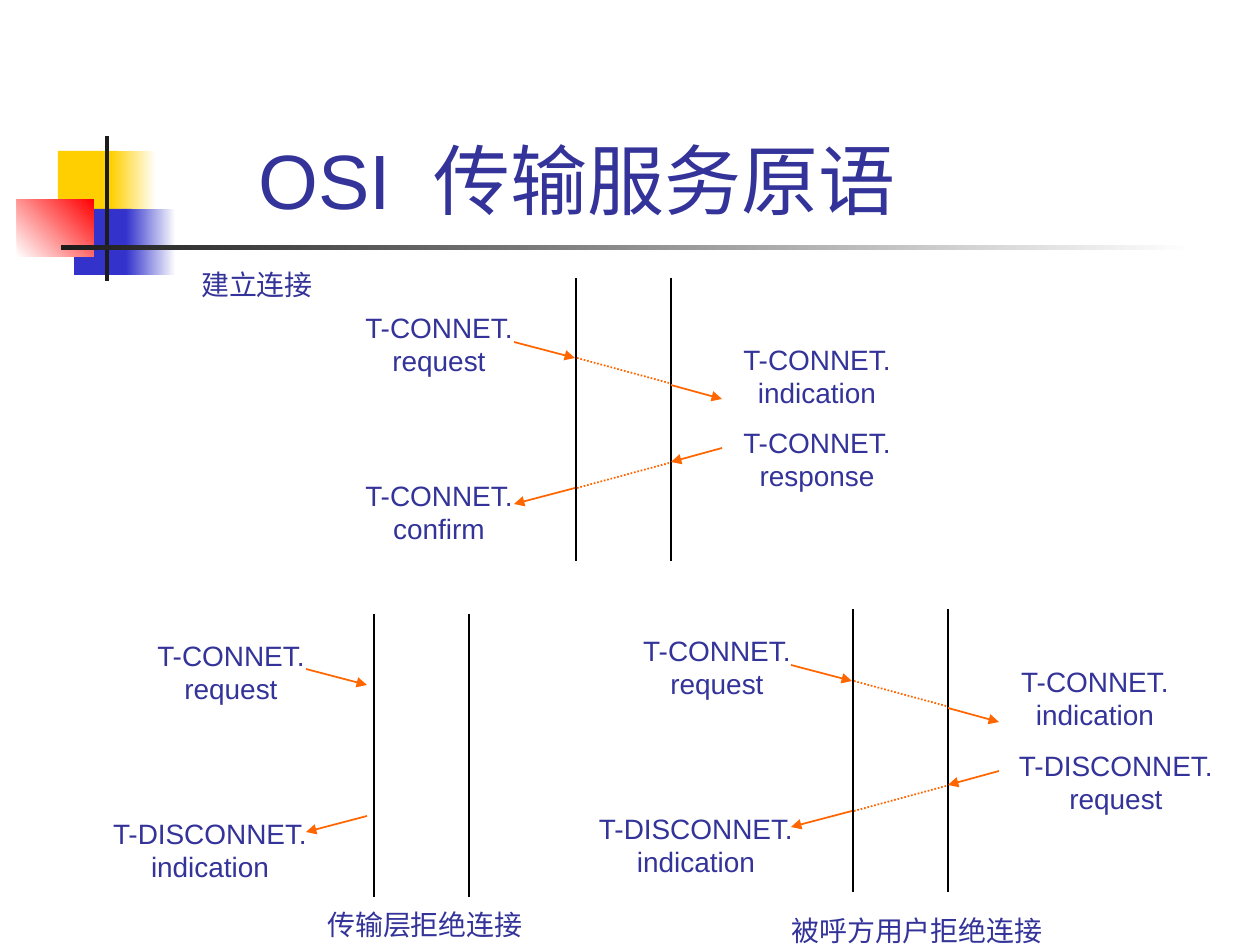
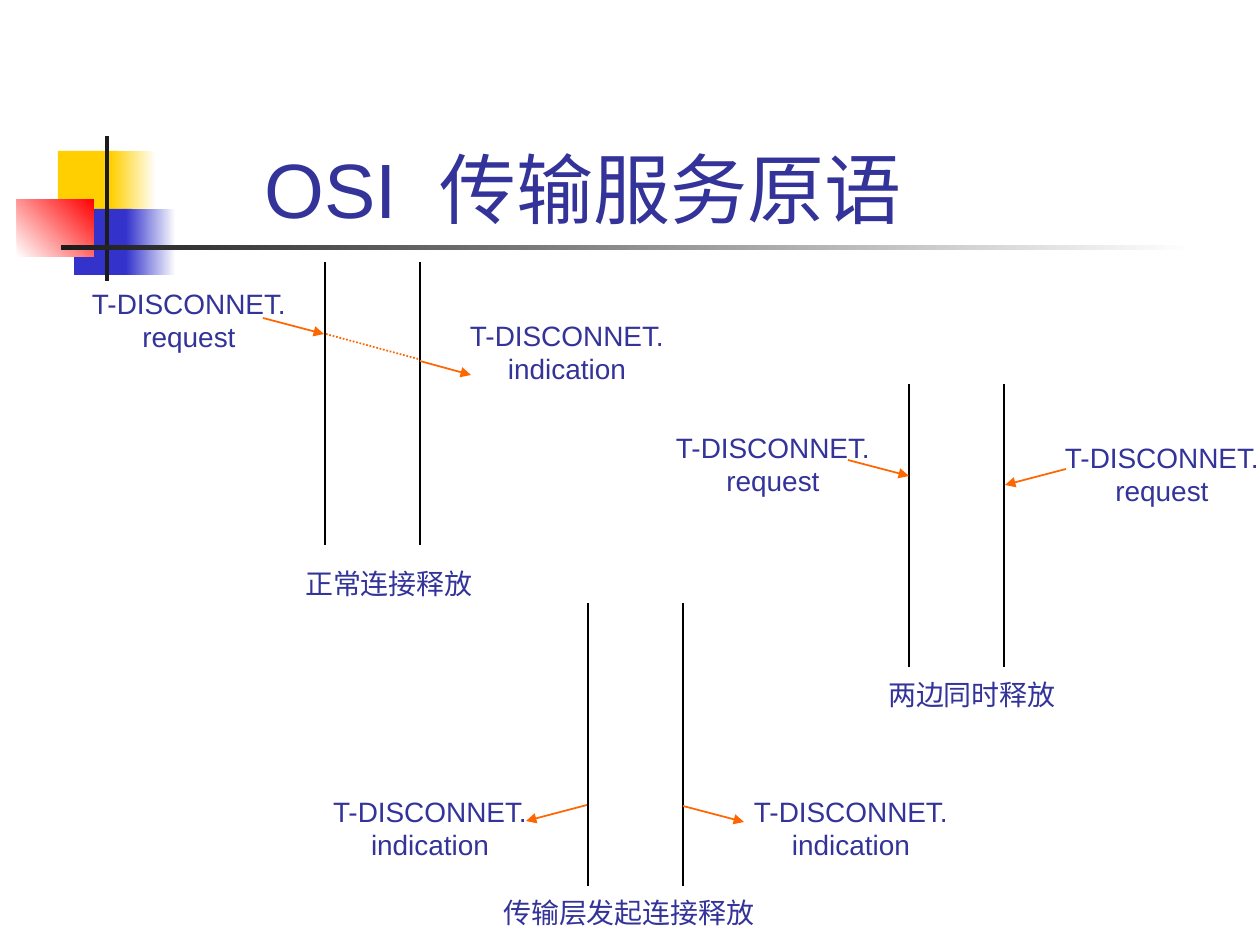
import lxml.etree
import pptx
import pptx.dml.color
import pptx.enum.dml
import pptx.enum.shapes
import pptx.enum.text
import pptx.oxml.ns
import pptx.util

EMU_PER_PX = 914400 / 126
NAVY, ORANGE, BLACK, WHITE = "333399", "FF6600", "000000", "FFFFFF"
YELLOW, BLUE, RED, CHARCOAL = "FFCF01", "3333CC", "FF0000", "1C1C1C"
POLE_GAP, POLE_HEIGHT = 95, 283
ARROW_DX, ARROW_DY = 61, 16
ALIGN = pptx.enum.text.PP_ALIGN
ANCHOR = pptx.enum.text.MSO_ANCHOR


def px(*lengths):
    return [pptx.util.Emu(round(n * EMU_PER_PX)) for n in lengths]


def rgb(value):
    return pptx.dml.color.RGBColor.from_string(value)


def apply(obj, values):
    for name, value in values.items():
        setattr(obj, name, value)


def format_text(tf, size, align, frame):
    apply(tf, {"auto_size": pptx.enum.text.MSO_AUTO_SIZE.NONE, **frame})
    for p in tf.paragraphs:
        p.alignment = align
        for r in p.runs:
            apply(r.font, {"name": "Arial", "size": pptx.util.Pt(size)})
            r.font.color.rgb = rgb(NAVY)


def add_band(s, box, colors, angle=0):
    """A rectangle with one solid colour, or a gradient between two."""
    sp = s.shapes.add_shape(pptx.enum.shapes.MSO_SHAPE.RECTANGLE, *px(*box))
    sp.shadow.inherit = False
    sp.line.fill.background()
    if len(colors) == 1:
        sp.fill.solid()
        sp.fill.fore_color.rgb = rgb(colors[0])
    else:
        sp.fill.gradient()
        sp.fill.gradient_angle = angle
        for stop, color in zip(sp.fill.gradient_stops, colors):
            stop.color.rgb = rgb(color)
    return sp


def decorate_master(prs, s):
    """Draw the bands on a slide, then move them to the master."""
    bands = [
        ((58, 151, 60, 66), [YELLOW]),
        ((111, 151, 45, 66), [YELLOW, WHITE]),
        ((74, 209, 58, 66), [BLUE]),
        ((126, 209, 50, 66), [BLUE, WHITE]),
        ((17, 199, 77, 58), [WHITE, RED], 45),
        ((105, 136, 4, 145), [CHARCOAL]),
        ((61, 245, 1134, 5), [CHARCOAL, WHITE]),
    ]
    for number, band in enumerate(bands, 20):
        sp = add_band(s, *band)
        sp.element.nvSpPr.cNvPr.id = number
        prs.slide_master.shapes.element.append(sp.element)


def add_title(s, box):
    sp = s.shapes.title
    apply(sp, dict(zip(("left", "top", "width", "height"), px(*box))))
    tf = sp.text_frame
    p = tf.paragraphs[0]
    for text in ("OSI", " ", "传输服务原语"):
        p.add_run().text = text
    format_text(tf, 44, ALIGN.LEFT,
                {"word_wrap": True, "vertical_anchor": ANCHOR.BOTTOM})
    p.runs[1].font._element.set("spc", "1200")


def add_label(s, cx, cy, text):
    """Centre one or two lines of text on a point."""
    w, h = 148, 74
    sp = s.shapes.add_textbox(*px(cx - w / 2, cy - h / 2, w, h))
    sp.text_frame.text = text
    format_text(sp.text_frame, 16, ALIGN.CENTER,
                {"word_wrap": False, "vertical_anchor": ANCHOR.MIDDLE})


def add_line(s, x, y, dx, dy, color):
    sp = s.shapes.add_connector(pptx.enum.shapes.MSO_CONNECTOR.STRAIGHT,
                                *px(x, y, x + dx, y + dy))
    sp.line.width = pptx.util.Pt(1)
    sp.line.color.rgb = rgb(color)
    lxml.etree.SubElement(sp.element.spPr, pptx.oxml.ns.qn("a:effectLst"))
    return sp


def add_poles(s, x, y):
    for pole_x in (x, x + POLE_GAP):
        add_line(s, pole_x, y, 0, POLE_HEIGHT, BLACK)


def add_arrow(s, x, y, dx, dy=ARROW_DY):
    sp = add_line(s, x, y, dx, dy, ORANGE)
    lxml.etree.SubElement(sp.line._get_or_add_ln(),
                          pptx.oxml.ns.qn("a:tailEnd"), type="triangle")


def add_transit(s, x, y, dy):
    sp = add_line(s, x + 1, y, POLE_GAP - 3, dy, ORANGE)
    sp.line.dash_style = pptx.enum.dml.MSO_LINE.ROUND_DOT


def add_forward_signal(s, x, y):
    """Left to right, meeting the left pole at x, y."""
    add_arrow(s, x - ARROW_DX - 1, y - ARROW_DY, ARROW_DX)
    add_transit(s, x, y, 25)
    add_arrow(s, x + POLE_GAP, y + 27, 51, 14)


def add_return_signal(s, x, y):
    """Right to left, meeting the left pole at x, y."""
    add_arrow(s, x + POLE_GAP + 51, y - 40, -51, 14)
    add_transit(s, x, y, -25)
    add_arrow(s, x - 1, y, -ARROW_DX)


def add_labels(s, labels):
    for cx, cy, text in labels:
        add_label(s, cx, cy, text)


def draw_establishment(s):
    add_title(s, (246, 29, 737, 202))
    for x, y in ((576, 278), (853, 609)):
        add_poles(s, x, y)
    add_forward_signal(s, 576, 358)
    add_return_signal(s, 576, 488)
    add_forward_signal(s, 853, 681)
    add_return_signal(s, 853, 811)
    add_poles(s, 374, 614)
    add_arrow(s, 306, 669, ARROW_DX)
    add_arrow(s, 367, 816, -ARROW_DX)
    add_labels(s, [
        (439, 344, "T-CONNET.\nrequest"),
        (817, 376, "T-CONNET.\nindication"),
        (817, 459, "T-CONNET.\nresponse"),
        (439, 512, "T-CONNET.\nconfirm"),
        (717, 667, "T-CONNET.\nrequest"),
        (1095, 698, "T-CONNET.\nindication"),
        (1116, 782, "T-DISCONNET.\nrequest"),
        (696, 845, "T-DISCONNET.\nindication"),
        (231, 672, "T-CONNET.\nrequest"),
        (210, 850, "T-DISCONNET.\nindication"),
        (257, 284, "建立连接"),
        (917, 930, "被呼方用户拒绝连接"),
        (425, 924, "传输层拒绝连接"),
    ])


def draw_release(s):
    add_title(s, (252, 147, 693, 93))
    for x, y in ((325, 262), (909, 384), (588, 603)):
        add_poles(s, x, y)
    add_forward_signal(s, 325, 334)
    add_arrow(s, 848, 460, ARROW_DX)
    add_arrow(s, 1066, 469, -ARROW_DX)
    add_arrow(s, 587, 805, -ARROW_DX)
    add_arrow(s, 683, 806, ARROW_DX)
    add_labels(s, [
        (189, 320, "T-DISCONNET.\nrequest"),
        (567, 352, "T-DISCONNET.\nindication"),
        (773, 464, "T-DISCONNET.\nrequest"),
        (1162, 474, "T-DISCONNET.\nrequest"),
        (430, 828, "T-DISCONNET.\nindication"),
        (851, 828, "T-DISCONNET.\nindication"),
        (389, 583, "正常连接释放"),
        (972, 694, "两边同时释放"),
        (629, 912, "传输层发起连接释放"),
    ])


def main():
    prs = pptx.Presentation()
    prs.slide_width, prs.slide_height = px(1260, 945)
    title_only = prs.slide_layouts[5]
    establishment = prs.slides.add_slide(title_only)
    decorate_master(prs, establishment)
    draw_establishment(establishment)
    draw_release(prs.slides.add_slide(title_only))
    prs.save("out.pptx")


if __name__ == "__main__":
    main()
